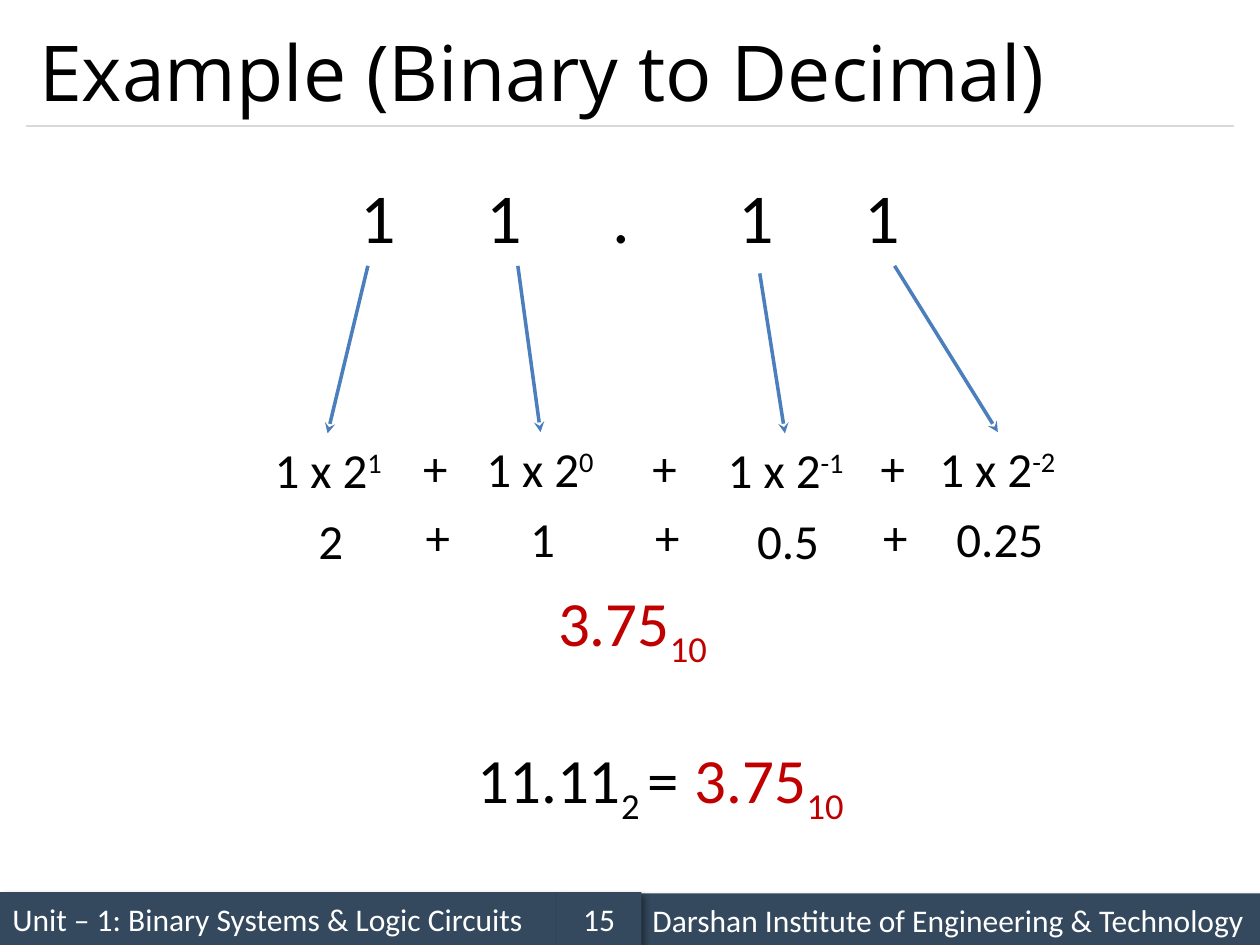
from lxml.etree import SubElement
from pptx import Presentation
from pptx.dml.color import RGBColor
from pptx.enum.shapes import MSO_CONNECTOR, MSO_SHAPE
from pptx.enum.text import MSO_ANCHOR, MSO_AUTO_SIZE, PP_ALIGN
from pptx.oxml import parse_xml
from pptx.oxml.ns import nsdecls, qn
from pptx.util import Inches, Pt

BLACK, RED, WHITE = "000000", "C00000", "FFFFFF"
NAVY, BLUE, GREY = "34495E", "4B7EBC", "D9D9D9"
SHADOW = (
    f'<a:effectLst {nsdecls("a")}><a:outerShdw blurRad="50800" dist="38100" '
    'dir="2700000" algn="tl" rotWithShape="0"><a:srgbClr val="000000">'
    '<a:alpha val="40000"/></a:srgbClr></a:outerShdw></a:effectLst>'
)


def rgb(value):
    return RGBColor.from_string(value)


def write(tf, text, size=28, color=BLACK, font="Calibri", align=PP_ALIGN.CENTER):
    """Fill a frame with a string or with (text, baseline percent) pairs."""
    p = tf.paragraphs[0]
    p.alignment = align
    for part, baseline in [(text, 0)] if isinstance(text, str) else text:
        r = p.add_run()
        r.text = part
        r.font.size = Pt(size)
        r.font.name = font
        r.font.color.rgb = rgb(color)
        if baseline:
            r.font._element.set("baseline", str(baseline * 1000))
    return p


def add_text(slide, x, y, w, h, text, **fmt):
    tf = slide.shapes.add_textbox(*map(Inches, (x, y, w, h))).text_frame
    tf.word_wrap = True
    tf.auto_size = MSO_AUTO_SIZE.SHAPE_TO_FIT_TEXT
    return write(tf, text, **fmt)


def add_line(slide, start, end, color, width, arrow=False):
    line = slide.shapes.add_connector(
        MSO_CONNECTOR.STRAIGHT, *map(Inches, (*start, *end)))
    line.line.color.rgb = rgb(color)
    line.line.width = Pt(width)
    if arrow:
        SubElement(line.line._get_or_add_ln(), qn("a:tailEnd"), type="stealth")
    SubElement(line._element.spPr, qn("a:effectLst"))


def add_footer(slide, x, y, w, text, align=PP_ALIGN.LEFT):
    sp = slide.shapes.add_shape(
        MSO_SHAPE.RECTANGLE, *map(Inches, (x, y, w, 0.42)))
    sp.fill.solid()
    sp.fill.fore_color.rgb = rgb(NAVY)
    sp.line.fill.background()
    sp._element.spPr.append(parse_xml(SHADOW))
    sp.text_frame.vertical_anchor = MSO_ANCHOR.MIDDLE
    write(sp.text_frame, text, size=18, color=WHITE, align=align)


def add_title(slide, text):
    title = slide.shapes.title
    title.left, title.top, title.width, title.height = map(
        Inches, (0.21, 0.12, 9.58, 0.88))
    title.text_frame.vertical_anchor = MSO_ANCHOR.MIDDLE
    write(title.text_frame, text, size=44, font="Open Sans", align=PP_ALIGN.LEFT)


def add_expansion(slide):
    """Place value terms, with their values one row below."""
    terms = [(1.96, 3.44, "1", "2"), (3.64, 3.43, "0", "1"),
             (5.59, 3.44, "-1", "0.5"), (7.27, 3.43, "-2", "0.25")]
    for x, y, power, value in terms:
        add_text(slide, x, y, 1.29, 0.57, [("1 x 2", 0), (power, 30)])
        add_text(slide, x + 0.02, y + 0.56, 1.29, 0.57, value)
    for x in (3.25, 5.07, 6.88):
        for dx, y in ((0, 3.42), (0.02, 3.97)):
            add_text(slide, x + dx, y, 0.41, 0.57, "+")


def main():
    prs = Presentation()
    prs.slide_width, prs.slide_height = Inches(10), Inches(7.5)
    slide = prs.slides.add_slide(prs.slide_layouts[5])

    add_footer(slide, 0, 7.08, 4.42, "Unit – 1: Binary Systems & Logic Circuits")
    add_footer(slide, 5.08, 7.09, 4.92,
               "Darshan Institute of Engineering & Technology")
    add_footer(slide, 4.42, 7.08, 0.67, "15", align=PP_ALIGN.CENTER)
    add_title(slide, "Example (Binary to Decimal)")
    add_line(slide, (0.21, 1), (9.79, 1), GREY, 0.75)

    digits = add_text(slide, 0.21, 1.33, 9.58, 0.77, "1\t1\t.\t1\t1", size=40)
    digits._p.get_or_add_pPr().set("defTabSz", str(Inches(1)))
    for start, end in (((2.92, 2.11), (2.6, 3.44)), ((4.11, 2.11), (4.29, 3.43)),
                       ((6.03, 2.17), (6.23, 3.44)), ((7.1, 2.11), (7.92, 3.43))):
        add_line(slide, start, end, BLUE, 2, arrow=True)
    add_expansion(slide)

    result = [("3.75", 0), ("10", -25)]
    add_text(slide, 4.29, 4.58, 1.46, 0.71, result, size=36, color=RED)
    add_text(slide, 3.54, 5.83, 2.1, 0.71,
             [("11.11", 0), ("2 ", -25), ("=", 0)], size=36)
    add_text(slide, 5.33, 5.83, 1.55, 0.71, result, size=36, color=RED)
    prs.save("out.pptx")


if __name__ == "__main__":
    main()
